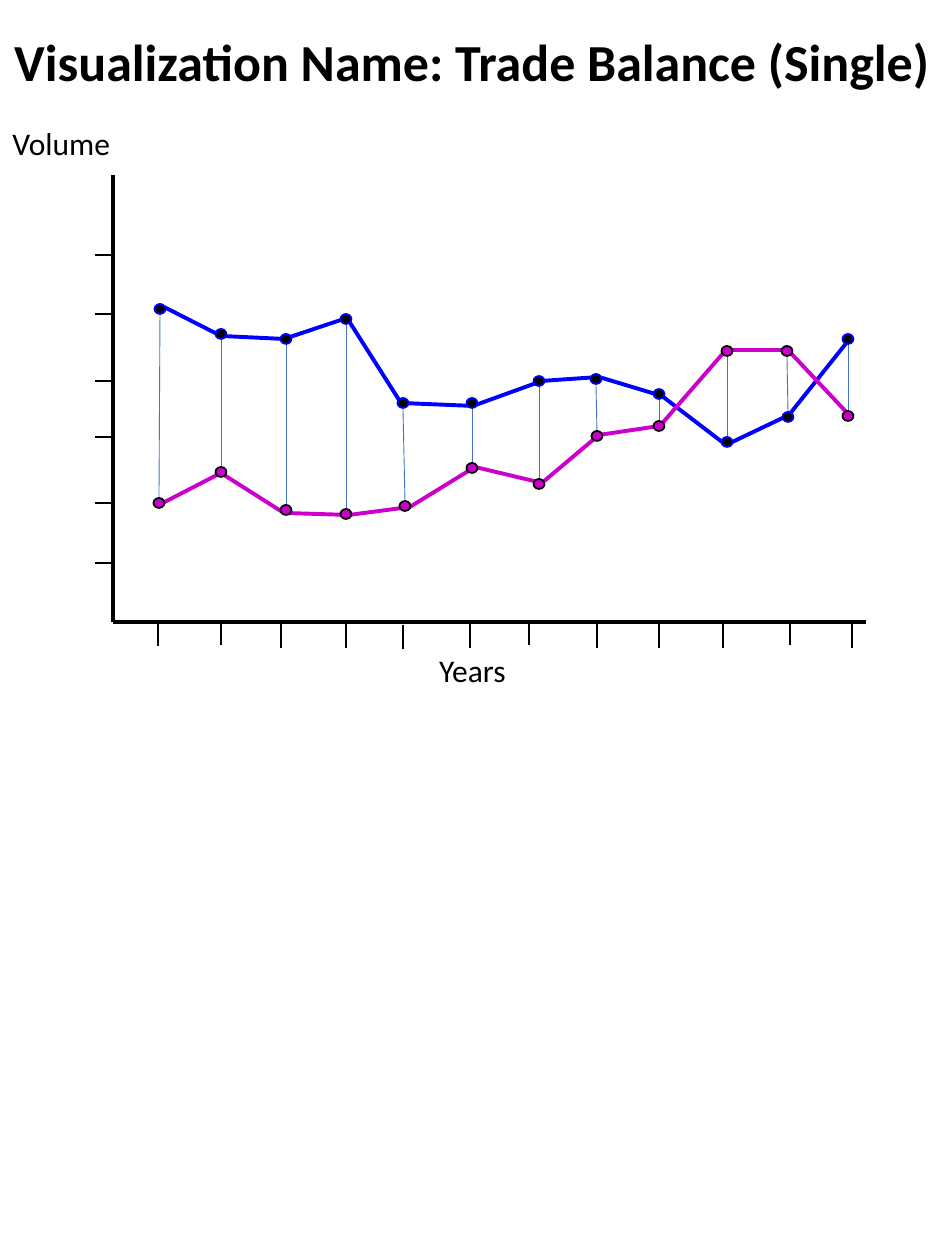
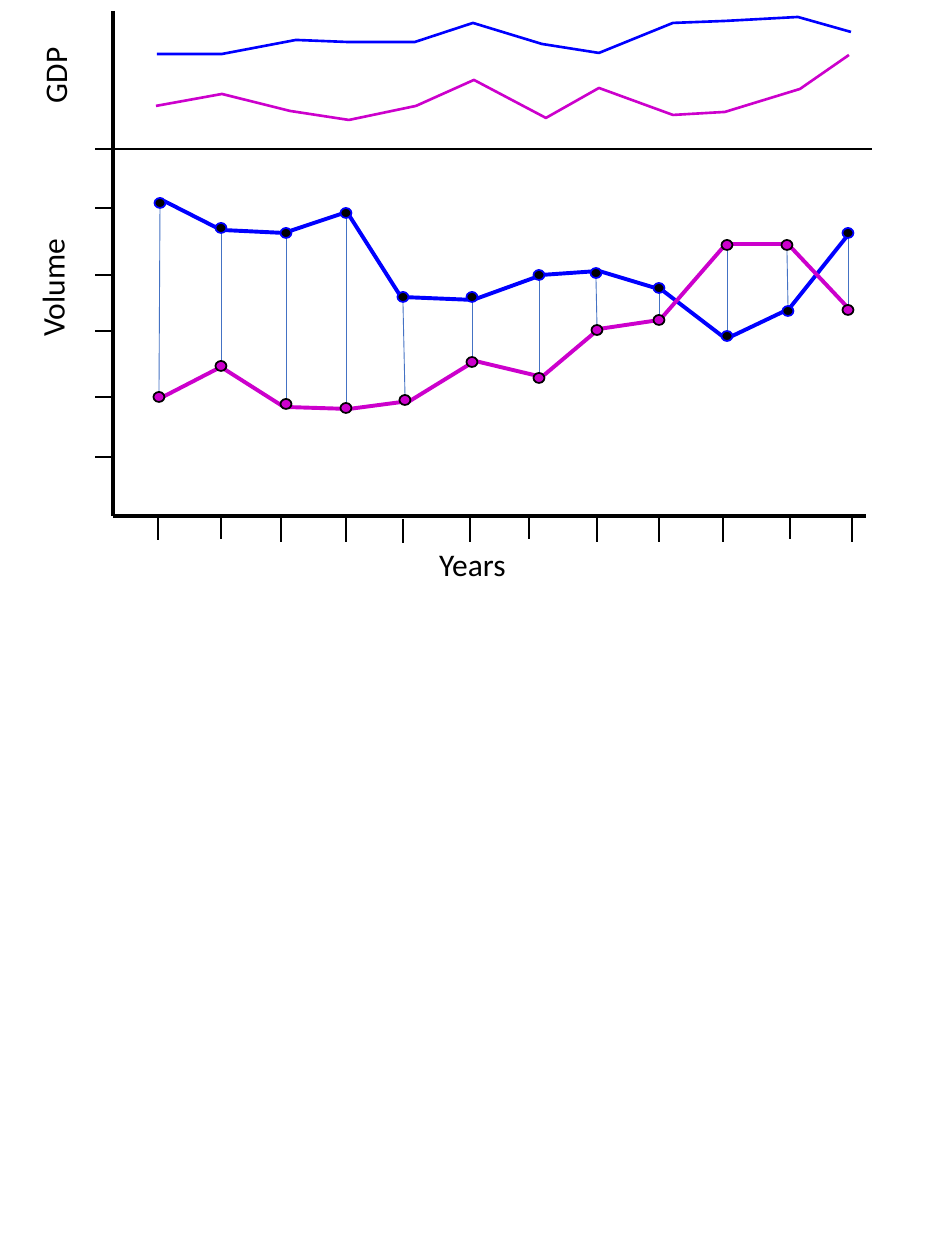
import pptx
import pptx.util
import pptx.dml.color
import pptx.enum.shapes
import pptx.enum.text
import pptx.oxml.ns
import lxml.etree

PX = 914400 / 126
FONT = "Calibri"
HEX = {"black": "000000", "blue": "0000FF", "pink": "CC00CC", "link": "4472C4"}
RGB = {name: pptx.dml.color.RGBColor.from_string(code) for name, code in HEX.items()}
ALIGN = pptx.enum.text.PP_ALIGN
OVAL = pptx.enum.shapes.MSO_SHAPE.OVAL
STRAIGHT = pptx.enum.shapes.MSO_CONNECTOR.STRAIGHT

# Axes and ticks, in pixels
LEFT, RIGHT, BASE = 113, 866, 622
YEARS = [(158, 622), (221, 621), (281, 624), (346, 624), (403, 625), (470, 624),
         (529, 621), (597, 624), (659, 624), (723, 624), (790, 621), (852, 624)]
LEVELS = [563, 503, 437, 381, 314, 255]

# Volume: corners of each line, then centres of its dots
TRADE = {
    "blue": [(164, 307), (221, 336), (284, 339), (347, 318), (401, 403), (473, 406),
             (542, 381), (599, 377), (662, 396), (726, 445), (789, 415), (852, 336)],
    "pink": [(159, 505), (221, 473), (284, 513), (349, 515), (410, 507), (475, 467),
             (542, 483), (599, 435), (660, 426), (726, 350), (788, 350), (851, 417)],
}
DOTS = {
    "blue": [(160, 309), (221, 334), (286, 339), (346, 319), (403, 403), (472, 403),
             (539, 381), (596, 379), (659, 394), (727, 442), (788, 417), (848, 339)],
    "pink": [(159, 503), (221, 472), (286, 510), (346, 514), (405, 506), (472, 468),
             (539, 484), (597, 436), (659, 426), (727, 351), (787, 351), (848, 416)],
}
DOT_W, DOT_H = 11, 10
PAINT = {"blue": ("black", "blue"), "pink": ("pink", "black")}

GDP = {
    "pink": [(156, 106), (222, 94), (290, 111), (349, 120), (416, 106), (474, 80),
             (546, 118), (599, 88), (673, 115), (725, 112), (800, 89), (849, 55)],
    "blue": [(157, 54), (222, 54), (296, 40), (347, 42), (415, 42), (473, 23),
             (542, 44), (599, 53), (673, 23), (725, 21), (798, 17), (851, 32)],
}


def rule(slide, start, end, tint, width):
    """Draw a straight line between two pixel points."""
    line = slide.shapes.add_connector(STRAIGHT, *(round(v * PX) for v in (*start, *end)))
    line.line.color.rgb = RGB[tint]
    line.line.width = pptx.util.Pt(width)
    lxml.etree.SubElement(line._element.spPr, pptx.oxml.ns.qn("a:effectLst"))


def label(slide, text, box, align=ALIGN.LEFT, turn=0, wrap=False):
    """Write one axis label in a pixel box."""
    shape = slide.shapes.add_textbox(*(round(v * PX) for v in box))
    shape.rotation = turn
    frame = shape.text_frame
    frame.text = text
    frame.word_wrap = wrap
    frame.auto_size = pptx.enum.text.MSO_AUTO_SIZE.SHAPE_TO_FIT_TEXT
    frame.paragraphs[0].alignment = align
    font = frame.paragraphs[0].runs[0].font
    font.name, font.size = FONT, pptx.util.Pt(18)
    font.color.rgb = RGB["black"]


deck = pptx.Presentation()
deck.slide_width = pptx.util.Inches(7.5)
deck.slide_height = pptx.util.Inches(10)
first = deck.slides.add_slide(deck.slide_layouts[5])
second = deck.slides.add_slide(deck.slide_layouts[6])

# Title of the first slide
title = first.shapes.title
title.left, title.top, title.width, title.height = (
    round(v * PX) for v in (0, 30, 945, 81))
frame = title.text_frame
frame.text = "Visualization Name: Trade Balance (Single)"
frame.word_wrap = True
frame.auto_size = pptx.enum.text.MSO_AUTO_SIZE.NONE
frame.vertical_anchor = pptx.enum.text.MSO_ANCHOR.TOP
frame.margin_left = frame.margin_right = 0
para = frame.paragraphs[0]
para.alignment = ALIGN.CENTER
para.line_spacing = 0.9
font = para.runs[0].font
font.name, font.size, font.bold = FONT, pptx.util.Pt(29.7), True
font.color.rgb = RGB["black"]

# The volume chart stands on both slides, higher up on the second
for slide, lift, top, reach in ((first, 0, 175, LEFT), (second, 106, 11, 872)):
    base = BASE - lift
    rule(slide, (LEFT, top), (LEFT, base), "black", 2.25)
    rule(slide, (LEFT, base), (RIGHT, base), "black", 2.25)
    label(slide, "Years", (0, 645 - lift, 945, 51), ALIGN.CENTER, wrap=True)
    for x, y in YEARS:
        rule(slide, (x, y - lift), (x, y - lift + 24), "black", 1.5)
    for y in LEVELS:
        end = reach if y == LEVELS[-1] else LEFT
        rule(slide, (end, y - lift), (95, y - lift), "black", 1.5)

    plots = [(tint, [(x, y - lift) for x, y in spots], 2.25)
             for tint, spots in TRADE.items()]
    if slide is second:
        plots += [(tint, spots, 1.5) for tint, spots in GDP.items()]
    for tint, spots, width in plots:
        path = slide.shapes.build_freeform(*spots[0], scale=PX)
        path.add_line_segments(spots[1:], close=False)
        curve = path.convert_to_shape()
        curve.shadow.inherit = False
        curve.fill.background()
        curve.line.color.rgb = RGB[tint]
        curve.line.width = pptx.util.Pt(width)

    # Links run from the lower edge of one dot to the upper edge of the other
    for pair in zip(DOTS["blue"], DOTS["pink"]):
        (xa, ya), (xb, yb) = sorted(pair, key=lambda spot: spot[1])
        rule(slide, (xa, ya - lift + DOT_H / 2), (xb, yb - lift - DOT_H / 2), "link", 0.5)

    for name, spots in DOTS.items():
        fill, edge = PAINT[name]
        for x, y in spots:
            box = (x - DOT_W / 2, y - lift - DOT_H / 2, DOT_W, DOT_H)
            dot = slide.shapes.add_shape(OVAL, *(round(v * PX) for v in box))
            dot.shadow.inherit = False
            dot.fill.solid()
            dot.fill.fore_color.rgb = RGB[fill]
            dot.line.color.rgb = RGB[edge]
            dot.line.width = pptx.util.Pt(1)

label(first, "Volume", (0, 118, 125, 51))
label(second, "Volume", (-10, 261, 125, 51), turn=270)
label(second, "GDP", (14, 49, 82, 51), turn=270)

deck.save("out.pptx")
